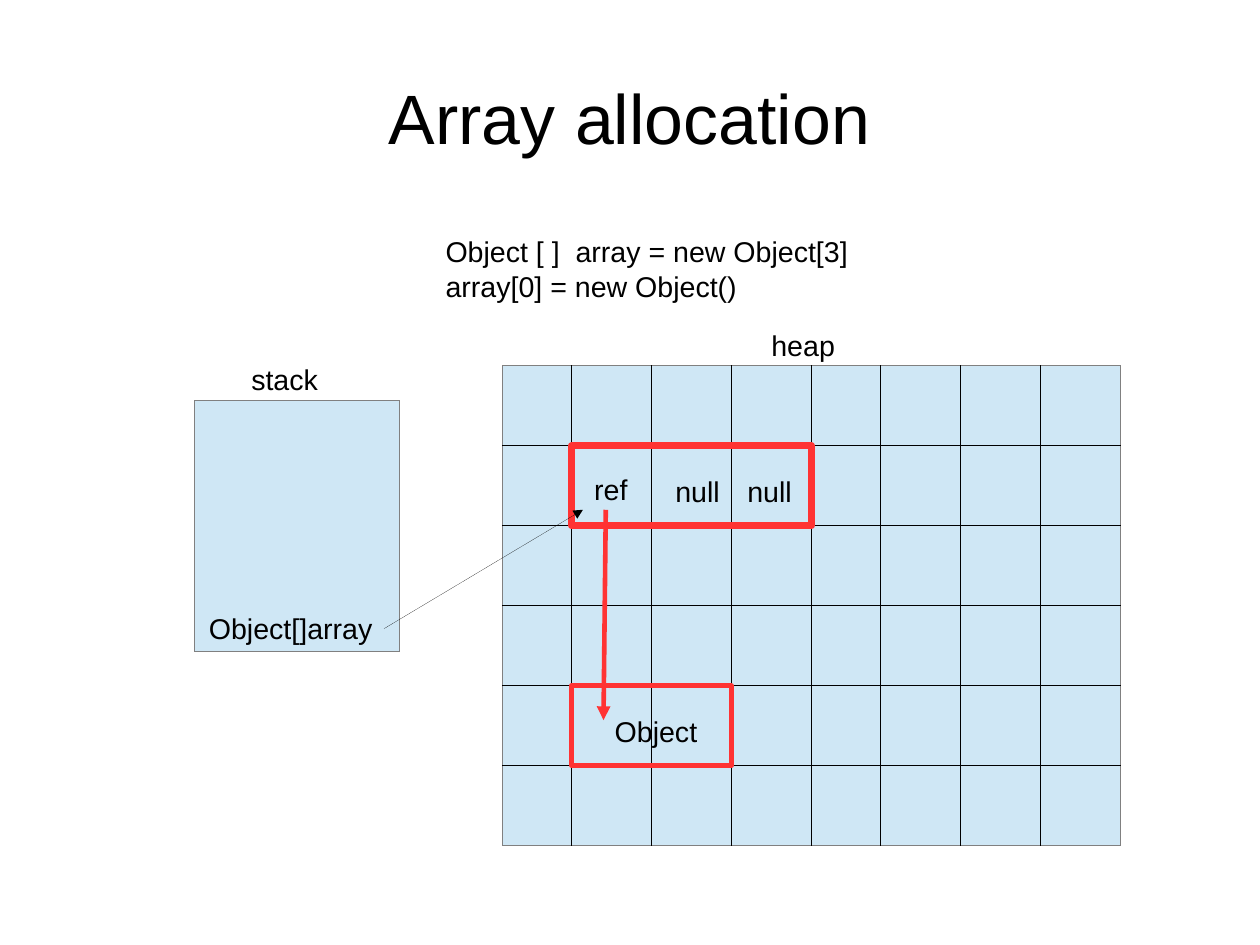
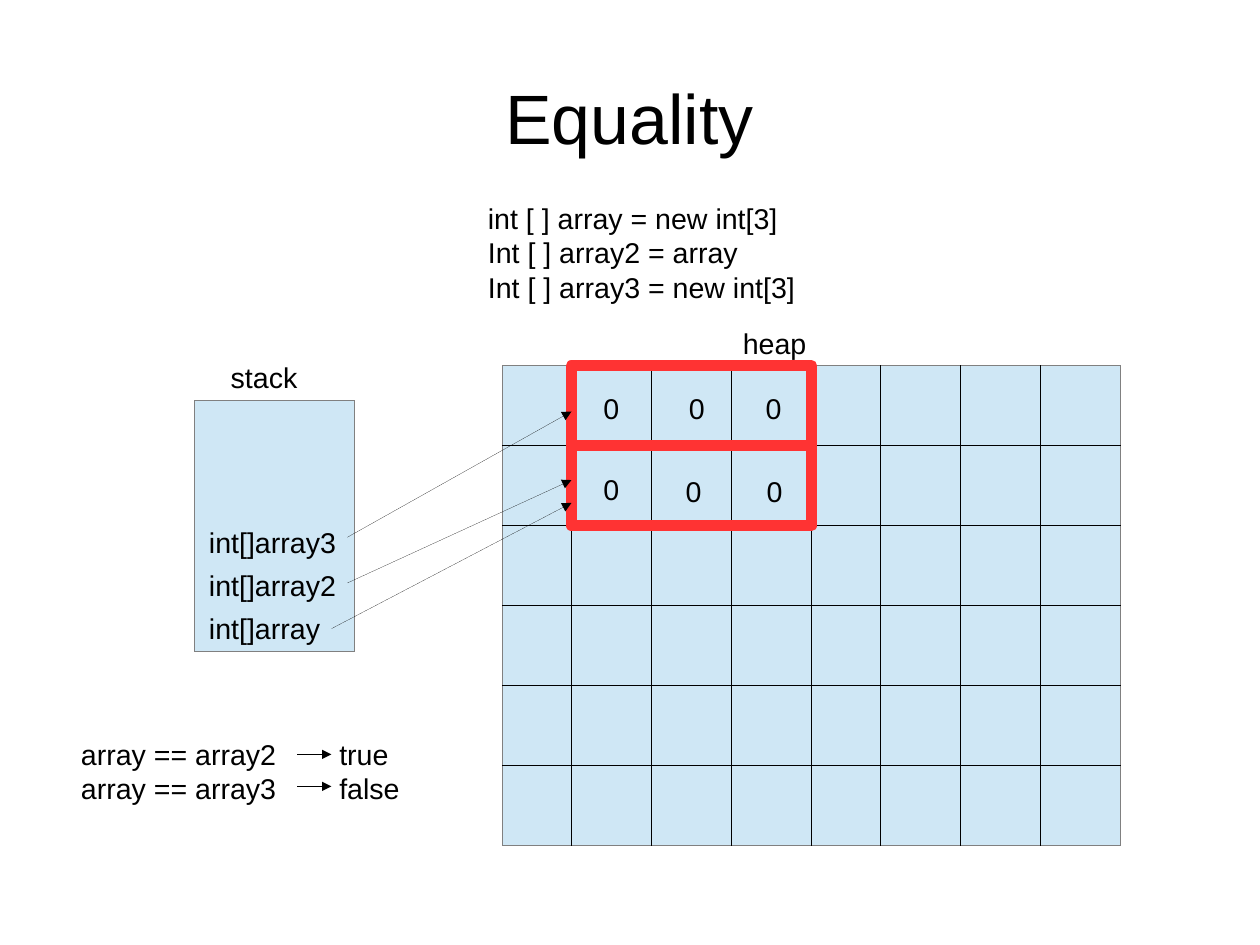
from itertools import accumulate

from lxml import etree
from pptx import Presentation
from pptx.dml.color import RGBColor
from pptx.enum.shapes import MSO_CONNECTOR, MSO_SHAPE
from pptx.enum.text import MSO_ANCHOR, PP_ALIGN
from pptx.oxml.ns import qn
from pptx.util import Cm, Pt

RECT = MSO_SHAPE.RECTANGLE
STRAIGHT = MSO_CONNECTOR.STRAIGHT
CENTER, LEFT = PP_ALIGN.CENTER, PP_ALIGN.LEFT
MIDDLE, TOP = MSO_ANCHOR.MIDDLE, MSO_ANCHOR.TOP

PX = 9144  # 100 px to the inch
WIDTH, HEIGHT = Cm(28), Cm(21)
COLORS = {"ink": "000000", "edge": "808080", "memory": "CFE7F5", "mark": "FF3333"}
FONT = "Arial"

# Heap: left, top, right, bottom, and the lines that split it
HEAP = (440, 320, 980, 740)
CELL = 70
COLS = list(accumulate([60, 70, 70, 70, 60, 70, 70], initial=HEAP[0]))[1:]
ROWS = range(HEAP[1] + CELL, HEAP[3], CELL)


def color(name):
    return RGBColor.from_string(COLORS[name])


class Deck:
    def __init__(self):
        self.prs = Presentation()
        self.prs.slide_width = WIDTH
        self.prs.slide_height = HEIGHT

    def start(self, title):
        self.slide = self.prs.slides.add_slide(self.prs.slide_layouts[6])
        self.text(55, 33, 992, 138, title, size=44, align=CENTER,
                  anchor=MIDDLE, pad=(0, 0))

    def text(self, x, y, w, h, text, size=18, align=LEFT, anchor=TOP,
             pad=(10, 5), tab=None):
        box = self.slide.shapes.add_textbox(x * PX, y * PX, w * PX, h * PX)
        frame = box.text_frame
        frame.word_wrap = True
        frame.vertical_anchor = anchor
        frame.margin_left = frame.margin_right = pad[0] * PX
        frame.margin_top = frame.margin_bottom = pad[1] * PX
        frame.text = text
        for para in frame.paragraphs:
            para.alignment = align
            if tab:
                stops = etree.SubElement(para._p.get_or_add_pPr(), qn("a:tabLst"))
                etree.SubElement(stops, qn("a:tab"), pos=str(tab * PX), algn="l")
            for run in para.runs:
                run.font.name = FONT
                run.font.size = Pt(size)
                run.font.color.rgb = color("ink")

    def stroke(self, shape, ink, width):
        """Colour the outline; a width of 0, a hairline, must be spelled out."""
        shape.line.color.rgb = color(ink)
        outline = shape.element.spPr.find(qn("a:ln"))
        outline.set("w", str(int(Pt(width))))
        return outline

    def rect(self, x, y, w, h, fill=None, edge="edge", width=0):
        box = self.slide.shapes.add_shape(RECT, x * PX, y * PX, w * PX, h * PX)
        box.shadow.inherit = False
        if fill:
            box.fill.solid()
            box.fill.fore_color.rgb = color(fill)
        else:
            box.fill.background()
        self.stroke(box, edge, width)

    def line(self, x1, y1, x2, y2, ink="ink", width=0, arrow=False):
        link = self.slide.shapes.add_connector(
            STRAIGHT, x1 * PX, y1 * PX, x2 * PX, y2 * PX)
        outline = self.stroke(link, ink, width)
        if arrow:
            etree.SubElement(outline, qn("a:tailEnd"), type="triangle")
        etree.SubElement(link.element.spPr, qn("a:effectLst"))

    def arrow(self, *ends, **style):
        self.line(*ends, arrow=True, **style)

    def memory(self, width):
        """Stack of the given width, and the heap with its cells."""
        left, top, right, bottom = HEAP
        self.rect(170, 350, width, 220, fill="memory")
        self.rect(left, top, right - left, bottom - top, fill="memory")
        for x in COLS:
            self.line(x, top, x, bottom)
        for y in ROWS:
            self.line(left, y, right, y)

    def mark(self, row, cells, width):
        self.rect(COLS[0], HEAP[1] + row * CELL, cells * CELL, CELL,
                  edge="mark", width=width)

    def label(self, x, y, w, text):
        self.text(x, y, w, 38, text)


def allocation(deck):
    deck.start("Array allocation")
    deck.memory(180)
    deck.text(380, 200, 376, 66,
              "Object [ ]  array = new Object[3]\narray[0] = new Object()")

    # Names and cell values
    for x, y, w, text in [(210, 312, 82, "stack"), (665, 282, 79, "heap"),
                          (173, 530, 167, "Object[]array"), (510, 408, 59, "ref"),
                          (581, 410, 62, "null"), (644, 410, 62, "null"),
                          (528, 620, 96, "Object")]:
        deck.label(x, y, w, text)

    # Array, object and references
    deck.mark(1, 3, 4.31)
    deck.mark(4, 2, 2.89)
    deck.arrow(530, 446, 528, 630, ink="mark", width=2.89)
    deck.arrow(336, 550, 510, 446)


def equality(deck):
    deck.start("Equality")
    deck.memory(140)
    deck.text(417, 171, 293, 94, "int [ ] array = new int[3]\n"
              "Int [ ] array2 = array\nInt [ ] array3 = new int[3]")
    deck.label(192, 310, 82, "stack")
    deck.label(640, 280, 79, "heap")

    # Arrays and their values
    for row, cells in enumerate([[(518, 337), (593, 337), (660, 337)],
                                 [(518, 408), (590, 410), (661, 410)]]):
        deck.mark(row, 3, 7.2)
        for x, y in cells:
            deck.label(x, y, 34, "0")

    # Variables and references
    for i, (name, ends) in enumerate([("array", (290, 550, 500, 440)),
                                      ("array2", (304, 510, 500, 420)),
                                      ("array3", (304, 470, 500, 360))]):
        deck.label(173, 530 - 38 * i, 135, f"int[]{name}")
        deck.arrow(*ends)

    # Comparisons
    deck.text(61, 640, 299, 66, "array == array2\ttrue\narray == array3\tfalse",
              tab=226)
    for y in (660, 688):
        deck.arrow(260, y, 290, y)


def main():
    deck = Deck()
    allocation(deck)
    equality(deck)
    deck.prs.save("out.pptx")


if __name__ == "__main__":
    main()
